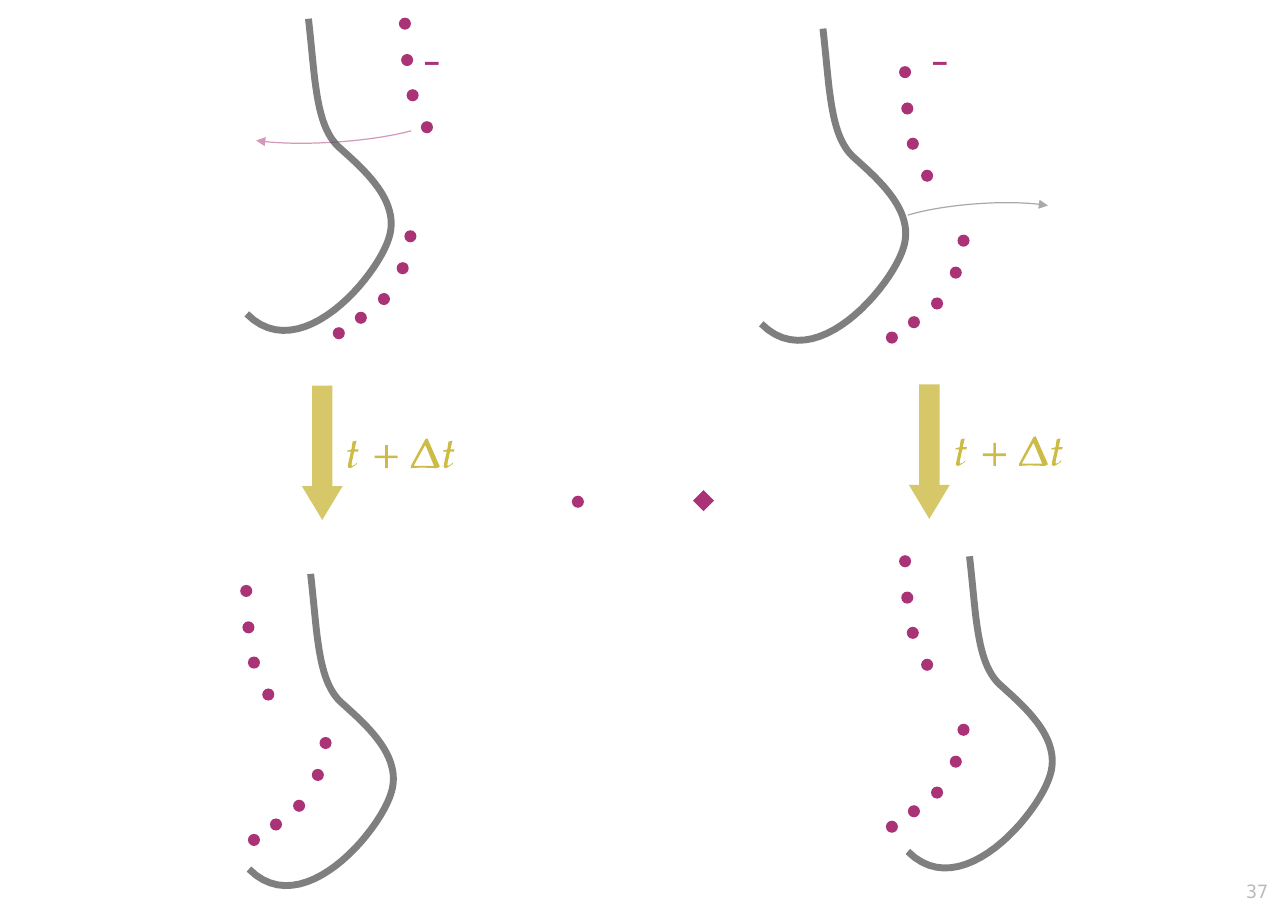
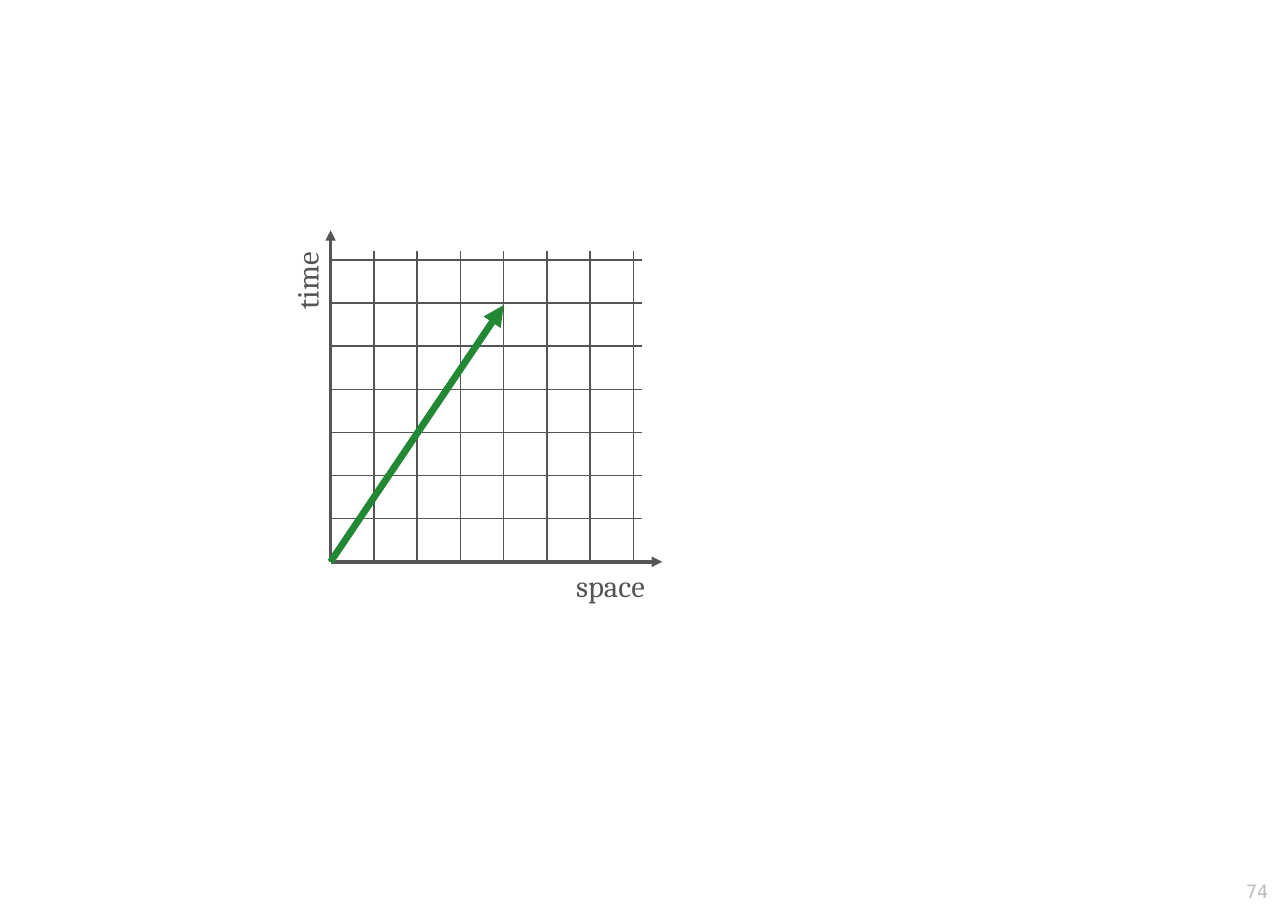
import pptx
import pptx.dml.color
import pptx.enum.shapes
import pptx.enum.text
import pptx.oxml.ns
import pptx.util
from lxml import etree

Inches = pptx.util.Inches
Pt = pptx.util.Pt
RGBColor = pptx.dml.color.RGBColor
SHAPE = pptx.enum.shapes.MSO_SHAPE
STRAIGHT = pptx.enum.shapes.MSO_CONNECTOR.STRAIGHT
ALIGN = pptx.enum.text.PP_ALIGN
qn = pptx.oxml.ns.qn

# Shared look
GREY = RGBColor(0x55, 0x55, 0x55)
PALE_GREY = RGBColor(0xBB, 0xBB, 0xBB)
PURPLE = RGBColor(0xAA, 0x33, 0x77)
GOLD = RGBColor(0xCC, 0xBB, 0x44)
GREEN = RGBColor(0x22, 0x88, 0x33)
SERIF, MONO = "Cambria", "DejaVu Sans Mono"
WIDTH, HEIGHT = 11.69, 8.27
DOT = 0.11


def paint(shape, fill=None, line=None, width=1, opacity=100, arrow=False):
    """Set fill, outline, opacity and arrowhead, and remove the shadow."""
    properties = shape._element.spPr
    if hasattr(shape, "fill"):
        if fill is None:
            shape.fill.background()
        else:
            shape.fill.solid()
            shape.fill.fore_color.rgb = fill
    if line is None:
        shape.line.fill.background()
    else:
        shape.line.color.rgb = line
        shape.line.width = Pt(width)
    if opacity < 100:
        for colour in properties.iter(qn("a:srgbClr")):
            etree.SubElement(colour, qn("a:alpha"), val=str(opacity * 1000))
    if arrow:
        etree.SubElement(properties.find(qn("a:ln")), qn("a:tailEnd"), type="triangle")
    etree.SubElement(properties, qn("a:effectLst"))


def add_label(slide, text, box, size, colour, name=SERIF, align=ALIGN.LEFT):
    """Add one line of text and return its box and paragraph."""
    label = slide.shapes.add_textbox(*map(Inches, box))
    label.text_frame.word_wrap = False
    label.text_frame.auto_size = pptx.enum.text.MSO_AUTO_SIZE.SHAPE_TO_FIT_TEXT
    paragraph = label.text_frame.paragraphs[0]
    paragraph.text = text
    paragraph.alignment = align
    paragraph.font.size = Pt(size)
    paragraph.font.name = name
    paragraph.font.color.rgb = colour
    return label, paragraph


presentation = pptx.Presentation()
presentation.slide_width = Inches(WIDTH)
presentation.slide_height = Inches(HEIGHT)

# Both slides with their page numbers
slides = []
for number in ("37", "74"):
    slide = presentation.slides.add_slide(presentation.slide_layouts[6])
    add_label(slide, number, (WIDTH - 1.08, HEIGHT - 0.33, 1, 0.29), 12, PALE_GREY,
              MONO, ALIGN.RIGHT)
    slides.append(slide)
motion_slide, diagram_slide = slides

# Slide 1: curved arrows showing the direction of motion
for box, rotation, start, end, colour in (
    ((2.08, 0.92, 1.92, 0.37), 356.1, 6.42, 102.29, PURPLE),
    ((8, 1.85, 1.73, 0.37), 175.7, 7.09, 101.77, GREY),
):
    arc = motion_slide.shapes.add_shape(SHAPE.ARC, *map(Inches, box))
    arc.adjustments[0], arc.adjustments[1] = start, end
    arc.rotation = rotation
    paint(arc, line=colour, width=0.79, opacity=50, arrow=True)

# Membrane as Bezier segments, and the two dotted chains, from their own origins
MEMBRANE_START = (0.56, 0)
MEMBRANE = (
    ((0.62, 0.52), (0.62, 0.96), (0.83, 1.16)),
    ((1.05, 1.36), (1.4, 1.65), (1.29, 1.99)),
    ((1.19, 2.33), (0.49, 3.17), (0, 2.68)),
)
STEPS = 24
UPPER_CHAIN = ((0, 0), (0.02, 0.33), (0.07, 0.65), (0.2, 0.94))
LOWER_CHAIN = ((0, 0), (-0.07, 0.29), (-0.24, 0.57), (-0.45, 0.74), (-0.65, 0.88))

# Each panel: origins of the membrane, the upper chain and the lower chain
for (left, top), upper, lower in (
    ((2.26, 5.21), (2.18, 5.31), (2.9, 6.69)),
    ((8.24, 5.05), (8.16, 5.04), (8.69, 6.57)),
    ((6.91, 0.26), (8.16, 0.6), (8.69, 2.13)),
    ((2.24, 0.17), (3.62, 0.16), (3.67, 2.09)),
):
    panel = motion_slide.shapes.add_group_shape()
    points = [MEMBRANE_START]
    for control_1, control_2, end in MEMBRANE:
        start = points[-1]
        for step in range(1, STEPS + 1):
            t = step / STEPS
            points.append(tuple(
                (1 - t) ** 3 * a + 3 * (1 - t) ** 2 * t * b + 3 * (1 - t) * t ** 2 * c + t ** 3 * d
                for a, b, c, d in zip(start, control_1, control_2, end)))
    outline = [(Inches(left + x), Inches(top + y)) for x, y in points]
    builder = panel.shapes.build_freeform(*outline[0])
    builder.add_line_segments(outline[1:], close=False)
    paint(builder.convert_to_shape(), line=GREY, width=4.5, opacity=75)
    for (x, y), chain in ((upper, UPPER_CHAIN), (lower, LOWER_CHAIN)):
        for dx, dy in chain:
            dot = panel.shapes.add_shape(SHAPE.OVAL, Inches(x + dx), Inches(y + dy),
                                         Inches(DOT), Inches(DOT))
            paint(dot, fill=PURPLE)

# Outlines of the formula's symbols, in hundredths of an inch
LETTER_T = (((9, 21), (9, 20), (7, 22), (4.5, 23), (4, 22), (4.5, 19), (6, 12), (6.5, 10),
             (10, 10), (10.5, 8), (6.8, 8), (8.5, 0.5), (8, 0), (5, 1), (4, 8), (0.5, 9),
             (0, 10), (3.5, 10), (1, 21), (0.7, 24), (2, 25), (4, 24.5), (8, 22)),)
PLUS = (((21, 12), (21, 9.5), (12, 9.5), (12, 0), (9.5, 0), (9.5, 9.5), (0, 9.5),
         (0, 12), (9.5, 12), (9.5, 21), (12, 21), (12, 12)),)
DELTA = (((13, 1), (0, 25), (0, 27), (9, 26.5), (23, 27), (26, 26), (26, 25), (15, 0)),
         ((21, 25), (3, 25), (3, 24), (13, 6), (14, 8)))
FORMULA = ((LETTER_T, 0, 2), (PLUS, 25, 6), (DELTA, 58, 0), (LETTER_T, 87, 2))

# Time step arrows, each with its formula
for left, top, formula_left, formula_top in ((2.74, 3.5, 3.15, 3.98), (8.25, 3.49, 8.67, 3.96)):
    arrow = motion_slide.shapes.add_shape(SHAPE.DOWN_ARROW, Inches(left), Inches(top),
                                          Inches(0.37), Inches(1.22))
    arrow.adjustments[0], arrow.adjustments[1] = 0.5, 0.83
    paint(arrow, fill=GOLD, opacity=80)
    formula = motion_slide.shapes.add_group_shape()
    for symbol, dx, dy in FORMULA:
        contours = [[(Inches(formula_left + (dx + x) / 100), Inches(formula_top + (dy + y) / 100))
                     for x, y in contour] for contour in symbol]
        builder = formula.shapes.build_freeform(*contours[0][0])
        for contour in contours:
            if contour is not contours[0]:
                builder.move_to(*contour[0])
            builder.add_line_segments(contour[1:], close=True)
        paint(builder.convert_to_shape(), fill=GOLD)

# Charge signs
for left in (8.36, 3.75):
    label, paragraph = add_label(motion_slide, "–", (left, 0.32, 0.34, 0.5), 21, PURPLE)
    paragraph.font.bold = True

# Markers in the middle
for kind, left, top, size in ((SHAPE.OVAL, 5.19, 4.5, DOT), (SHAPE.DIAMOND, 6.29, 4.45, 0.19)):
    marker = motion_slide.shapes.add_shape(kind, Inches(left), Inches(top),
                                           Inches(size), Inches(size))
    paint(marker, fill=PURPLE)

# Slide 2: axes, grid and trajectory, as (from, to, colour, width, arrow)
ORIGIN_X, ORIGIN_Y = 3, 5.1
CELLS = 7
COLUMN, ROW = 2.75 / CELLS, 2.74 / CELLS
AXIS, GRID_WIDTH, GRID_HEIGHT = 3.01, 2.83, 2.82
lines = [
    ((0, 0), (AXIS, 0), GREY, 2.3, True),
    ((0, 0), (0, AXIS), GREY, 2.3, True),
]
for cell in range(1, CELLS + 1):
    lines.append(((cell * COLUMN, 0), (cell * COLUMN, GRID_HEIGHT), GREY, 1, False))
    lines.append(((0, cell * ROW), (GRID_WIDTH, cell * ROW), GREY, 1, False))
lines.append(((0, 0), (4 * COLUMN, 2.33), GREEN, 4.5, True))
for (x1, y1), (x2, y2), colour, width, has_arrow in lines:
    connector = diagram_slide.shapes.add_connector(
        STRAIGHT, Inches(ORIGIN_X + x1), Inches(ORIGIN_Y - y1),
        Inches(ORIGIN_X + x2), Inches(ORIGIN_Y - y2))
    paint(connector, line=colour, width=width, arrow=has_arrow)

# Axis labels
add_label(diagram_slide, "space", (5.13, ORIGIN_Y, 0.95, 0.48), 20, GREY)
time_label, paragraph = add_label(diagram_slide, "time", (2.41, 2.27, 0.79, 0.48), 20, GREY)
time_label.rotation = 270

presentation.save("out.pptx")
